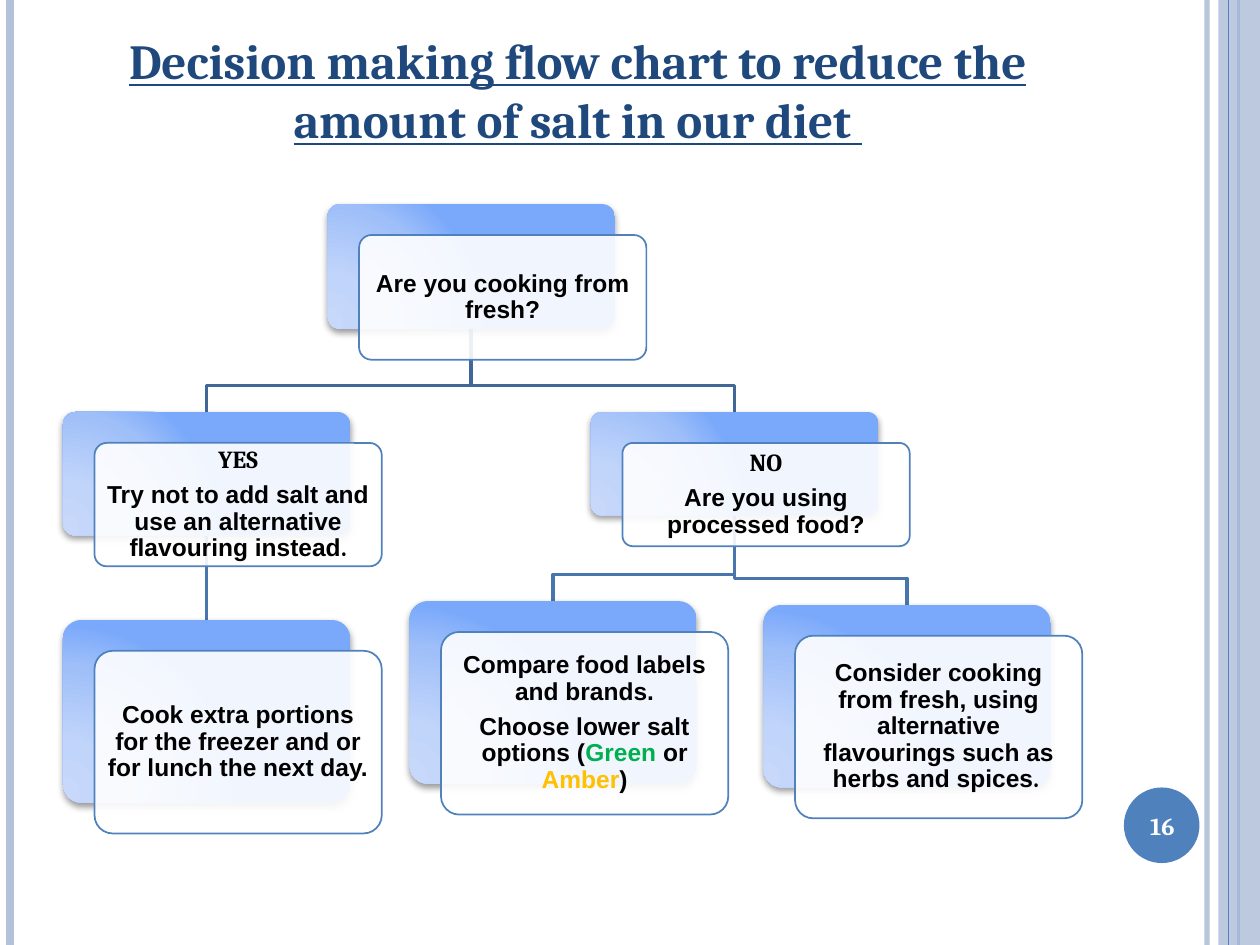
from dataclasses import dataclass

from pptx import Presentation
from pptx.dml.color import RGBColor
from pptx.enum.shapes import MSO_CONNECTOR, MSO_SHAPE
from pptx.enum.text import MSO_ANCHOR, MSO_AUTO_SIZE, PP_ALIGN
from pptx.oxml import parse_xml
from pptx.oxml.ns import nsdecls, qn
from pptx.util import Inches, Pt

BLUE, PALE, NAVY = "4F81BD", "B3C1DB", "1F497D"
CARD_W, OFFSET_X, OFFSET_Y = 2.28, 0.25, 0.245
CORNER, ELBOW_RISE = 0.1, 0.21
GRADIENT = [(0, "C7D8FB"), (30, "C1D5FA"), (75, "9FBFF9"), (100, "7AA9FB")]


@dataclass
class Run:
    text: str
    font: str = "Arial"
    color: str = "000000"


@dataclass
class Node:
    x: float
    y: float
    h: float
    paragraphs: list[list[Run]]

    @property
    def center(self) -> float:
        return self.x + CARD_W / 2


@dataclass
class Link:
    parent: Node
    child: Node
    color: str


def rgb(value: str) -> RGBColor:
    return RGBColor.from_string(value)


def box(x: float, y: float, w: float, h: float) -> list:
    return [Inches(v) for v in (x, y, w, h)]


def set_alpha(fill_format, percent: int) -> None:
    color = fill_format._xPr.find(qn("a:solidFill"))[0]
    color.append(parse_xml(f'<a:alpha {nsdecls("a")} val="{percent * 1000}"/>'))


def add_run(p, text: str, *, size: float = 14, font: str = "Arial",
            color: str = "000000", underline: bool = False) -> None:
    r = p.add_run()
    r.text = text
    r.font.size, r.font.name = Pt(size), font
    r.font.bold, r.font.underline = True, underline
    r.font.color.rgb = rgb(color)
    p.alignment = PP_ALIGN.CENTER


def add_filled(s, kind, bounds: list, color: str, alpha: int = 100):
    sp = s.shapes.add_shape(kind, *bounds)
    sp.shadow.inherit = False
    sp.fill.solid()
    sp.fill.fore_color.rgb = rgb(color)
    if alpha < 100:
        set_alpha(sp.fill, alpha)
    sp.line.fill.background()
    return sp


def add_rule(s, x: float, color: str, width: float, alpha: int = 100) -> None:
    line = s.shapes.add_connector(MSO_CONNECTOR.STRAIGHT, Inches(x), 0,
                                  Inches(x), Inches(7.5))
    line.line.color.rgb, line.line.width = rgb(color), Pt(width)
    if alpha < 100:
        set_alpha(line.line.fill, alpha)
    line._element.spPr.append(parse_xml(f'<a:effectLst {nsdecls("a")}/>'))


def add_link(s, link: Link) -> None:
    x1, y1 = link.parent.center, link.parent.y + link.parent.h
    x2, y2 = link.child.center, link.child.y
    bend = y2 - ELBOW_RISE
    points = [(x1, bend), (x2, bend), (x2, y2)] if x1 != x2 else [(x2, y2)]
    builder = s.shapes.build_freeform(Inches(x1), Inches(y1))
    builder.add_line_segments([(Inches(x), Inches(y)) for x, y in points], close=False)
    sp = builder.convert_to_shape()
    sp.shadow.inherit = False
    sp.fill.background()
    sp.line.color.rgb, sp.line.width = rgb(link.color), Pt(2)


def add_back_panel(s, node: Node) -> None:
    sp = s.shapes.add_shape(MSO_SHAPE.ROUNDED_RECTANGLE,
                            *box(node.x, node.y, CARD_W, node.h))
    sp.adjustments[0] = CORNER
    sp.line.fill.background()
    sp.shadow.inherit = False
    stops = "".join(f'<a:gs pos="{pos * 1000}"><a:srgbClr val="{color}"/></a:gs>'
                    for pos, color in GRADIENT)
    spPr = sp._element.spPr
    spPr.find(qn("a:prstGeom")).addnext(parse_xml(
        f'<a:gradFill {nsdecls("a")} rotWithShape="1"><a:gsLst>{stops}</a:gsLst>'
        '<a:path path="circle"><a:fillToRect l="5000" t="100000" r="120000" b="10000"/>'
        '</a:path></a:gradFill>'))
    spPr.find(qn("a:effectLst")).append(parse_xml(
        f'<a:outerShdw {nsdecls("a")} blurRad="{Pt(4)}" dist="{Pt(2)}" dir="5400000" '
        'rotWithShape="0"><a:srgbClr val="000000"><a:alpha val="40000"/></a:srgbClr>'
        '</a:outerShdw>'))


def add_text_box(s, bounds: list, margin: float):
    tf = s.shapes.add_textbox(*bounds).text_frame
    tf.word_wrap, tf.vertical_anchor = True, MSO_ANCHOR.MIDDLE
    tf.margin_left = tf.margin_right = tf.margin_top = tf.margin_bottom = Inches(margin)
    return tf


def add_node(s, node: Node) -> None:
    add_back_panel(s, node)
    x, y = node.x + OFFSET_X, node.y + OFFSET_Y
    front = add_filled(s, MSO_SHAPE.ROUNDED_RECTANGLE, box(x, y, CARD_W, node.h),
                       "FFFFFF", 90)
    front.adjustments[0] = CORNER
    front.line.color.rgb, front.line.width = rgb(BLUE), Pt(1)
    # The text area clears the rounded corners
    inset = 0.29 * CORNER * node.h
    tf = add_text_box(s, box(x + inset, y + inset, CARD_W - 2 * inset,
                             node.h - 2 * inset), 0.06)
    for i, runs in enumerate(node.paragraphs):
        p = tf.paragraphs[0] if i == 0 else tf.add_paragraph()
        p.line_spacing, p.space_after = 0.9, Pt(4.9)
        for run in runs:
            add_run(p, run.text, font=run.font, color=run.color)


def main() -> None:
    prs = Presentation()
    prs.slide_width, prs.slide_height = Inches(10), Inches(7.5)
    s = prs.slides.add_slide(prs.slide_layouts[5])

    # Side bands and page badge
    add_rule(s, 9.58, PALE, 3, 93)
    add_rule(s, 0.08, PALE, 4.5)
    add_rule(s, 9.83, BLUE, 1.5)
    add_filled(s, MSO_SHAPE.RECTANGLE, box(9.67, 0, 0.33, 7.5), PALE, 87)
    add_rule(s, 9.75, BLUE, 0.75)
    add_filled(s, MSO_SHAPE.OVAL, box(8.92, 6.25, 0.6, 0.6), BLUE)

    # Title
    title = s.shapes.title
    title.left, title.top, title.width, title.height = box(0.5, 0.3, 8.17, 0.93)
    tf = title.text_frame
    tf.auto_size, tf.vertical_anchor = MSO_AUTO_SIZE.NONE, MSO_ANCHOR.BOTTOM
    add_run(tf.paragraphs[0],
            "Decision making flow chart to reduce the amount of salt in our diet ",
            size=28, font="Cambria", color=NAVY, underline=True)

    # Flow chart content
    start = Node(2.6, 1.62, 0.99, [[Run("Are you cooking from fresh?")]])
    yes = Node(0.5, 3.27, 0.98, [
        [Run("YES", "Cambria")],
        [Run("Try not to add salt and use an alternative flavouring instead"),
         Run(".", "Cambria")]])
    extra = Node(0.5, 4.92, 1.45, [
        [Run("Cook extra portions for the freezer and or for lunch the next day.")]])
    no = Node(4.69, 3.27, 0.82, [
        [Run("NO", "Cambria")], [Run("Are you using processed food?")]])
    compare = Node(3.25, 4.77, 1.45, [
        [Run("Compare food labels and brands.")],
        [Run("Choose lower salt options ("), Run("Green", color="00B050"),
         Run(" or "), Run("Amber", color="FFC000"), Run(")")]])
    consider = Node(6.06, 4.8, 1.45, [
        [Run("Consider cooking from fresh, using alternative flavourings "
             "such as herbs and spices"), Run(". ", "Cambria")]])

    # Links lie behind the cards
    upper, lower = "3F6797", "4875AC"
    for link in (Link(no, consider, lower), Link(no, compare, lower),
                 Link(start, no, upper), Link(yes, extra, lower),
                 Link(start, yes, upper)):
        add_link(s, link)
    for node in (start, yes, extra, no, compare, consider):
        add_node(s, node)

    # Page number
    tf = add_text_box(s, box(8.89, 6.27, 0.67, 0.57), 0.05)
    add_run(tf.paragraphs[0], "16", font="Cambria", color="FFFFFF")

    prs.save("out.pptx")


if __name__ == "__main__":
    main()
